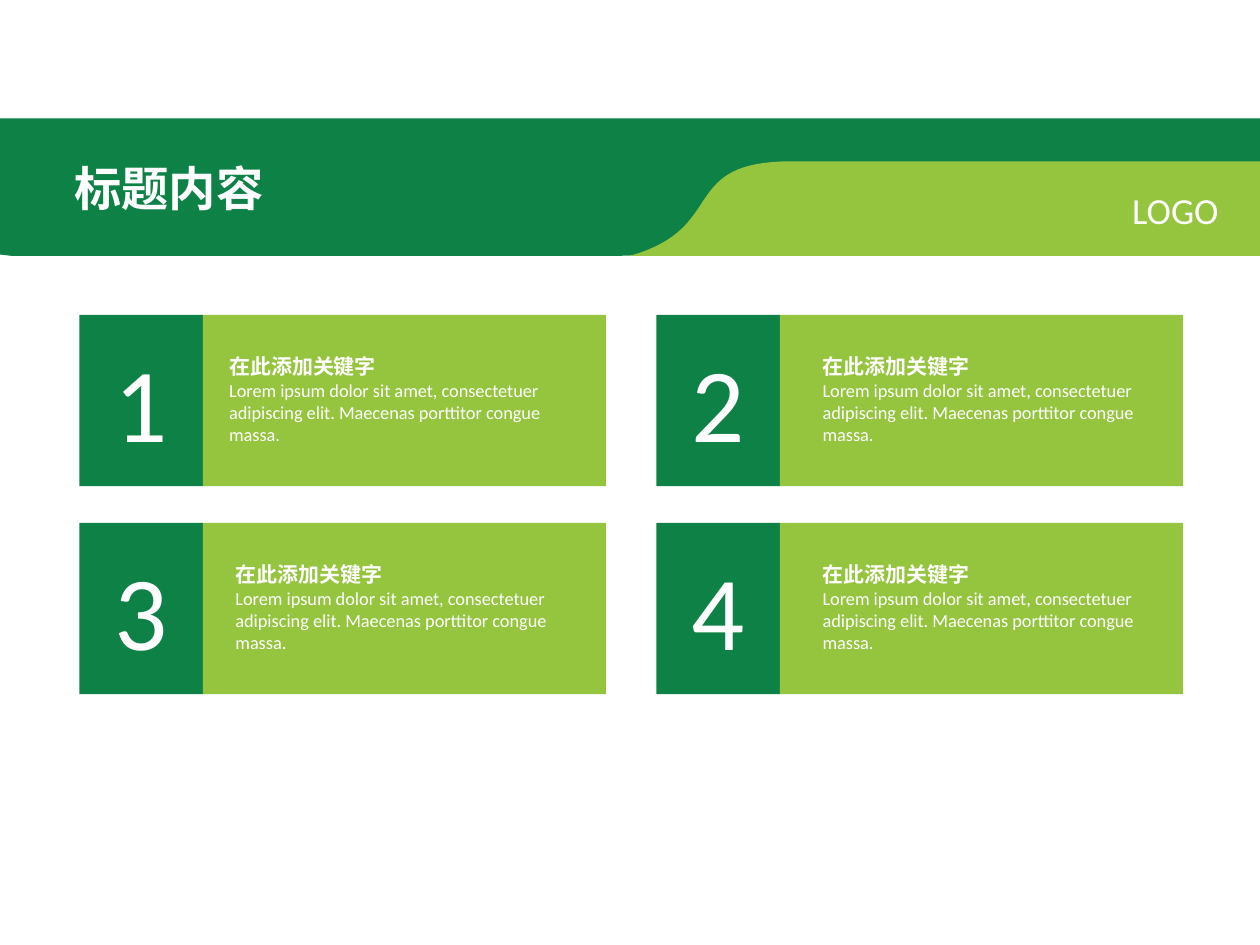
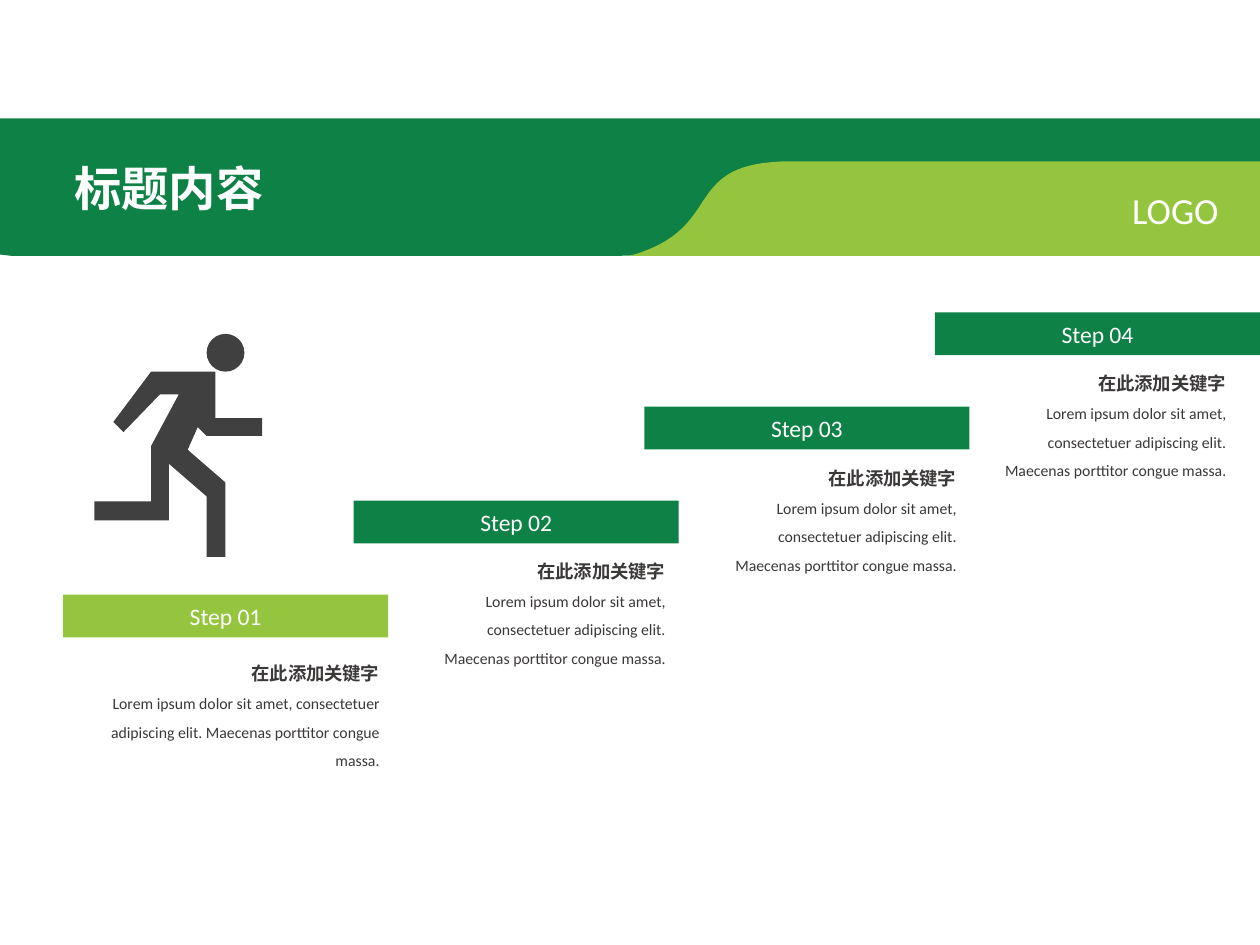
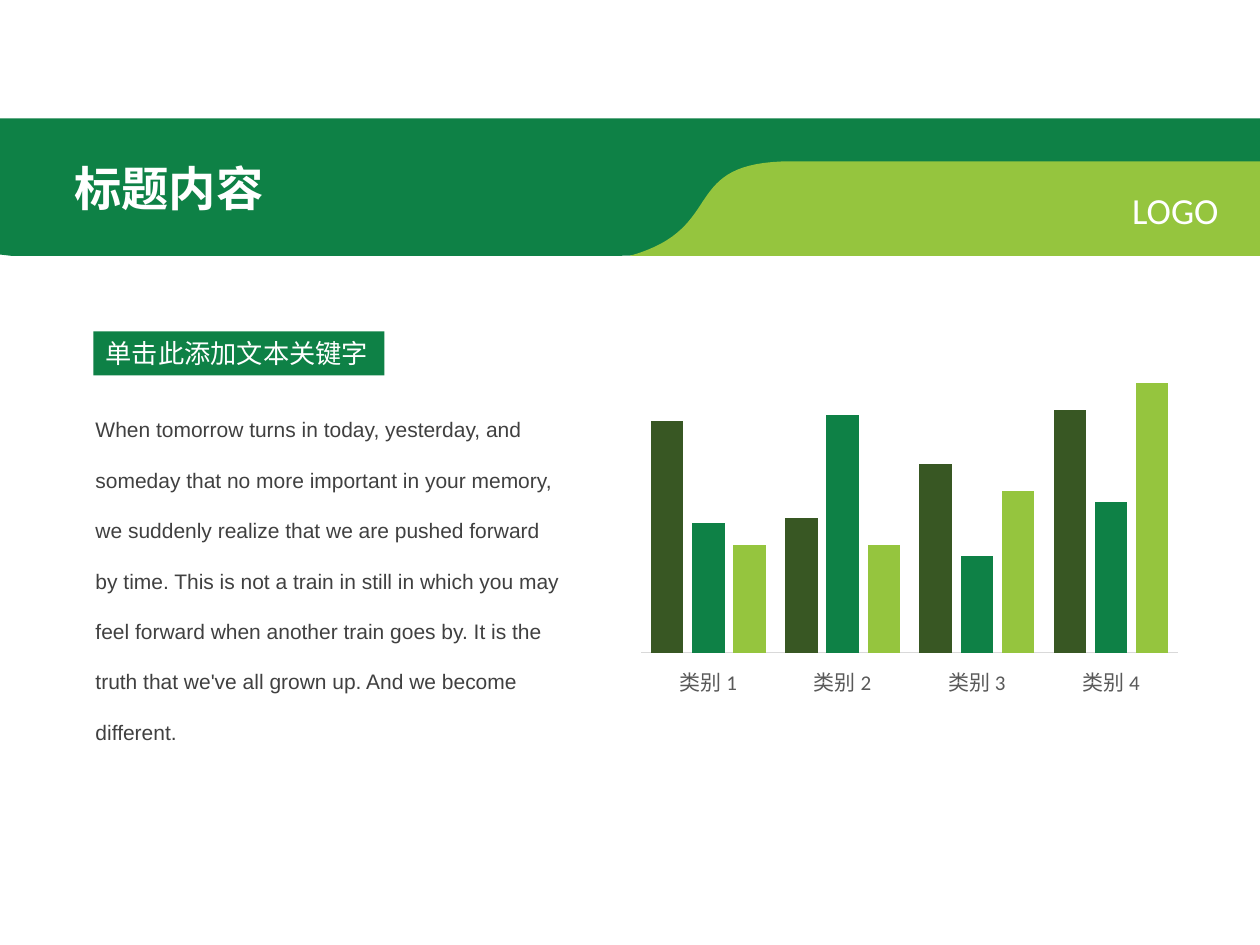
from pptx import Presentation
from pptx.chart.data import CategoryChartData
from pptx.dml.color import RGBColor
from pptx.enum.chart import XL_CHART_TYPE, XL_TICK_LABEL_POSITION, XL_TICK_MARK
from pptx.enum.shapes import MSO_SHAPE
from pptx.enum.text import MSO_ANCHOR, MSO_AUTO_SIZE, PP_ALIGN
from pptx.util import Inches, Pt

GREEN, LIME, OLIVE = "0E8146", "95C53E", "385723"
WHITE, CHARCOAL, INK = "FFFFFF", "404040", "3B3838"

TITLE = "标题内容"
BRAND = "LOGO"
KEYWORD = "在此添加关键字"
LOREM = ("Lorem ipsum dolor sit amet, consectetuer adipiscing elit. "
         "Maecenas porttitor congue massa.")

# Two numbers make a corner; six make a Bezier curve (two handles and its end).
BAND = [(0, 0.94), (10, 0.94), (10, 1.31), (6.2, 1.31), (6.07, 1.36),
        (5.46, 1.59, 5.77, 2.03, 4.91, 2.03), (0.09, 2.03), (0, 2.02)]
WAVE = [(6.29, 1.28), (10, 1.28), (10, 2.03), (5, 2.03),
        (5.79, 1.81, 5.37, 1.28, 6.29, 1.28)]
RUNNER = [(0.98, 3.43), (1.27, 3.13), (1.42, 3.13), (1.2, 3.54), (1.2, 3.98),
          (0.75, 3.98), (0.75, 4.13), (1.34, 4.13), (1.34, 3.68), (1.64, 3.94),
          (1.64, 4.42), (1.79, 4.42), (1.79, 3.83), (1.49, 3.57), (1.57, 3.39),
          (1.64, 3.46), (2.08, 3.46), (2.08, 3.32), (1.71, 3.32), (1.71, 2.95),
          (1.2, 2.95), (0.9, 3.35)]
RUNNER_HEAD = (1.64, 2.65, 0.3, 0.3)

CARDS = [("1", 1.72), ("2", 6.43), ("3", 1.77), ("4", 6.43)]
STEPS = [("Step 01", LIME, (0.5, 5.12, 2.61, 1.02)),
         ("Step 02", GREEN, (3.25, 4.31, 2.13, 1.02)),
         ("Step 03", GREEN, (5.56, 3.57, 2.13, 1.02)),
         ("Step 04", GREEN, (7.87, 2.82, 1.96, 1.25))]

HEADING = "单击此添加文本关键字"
STORY = ("When tomorrow turns in today, yesterday, and someday that no more "
         "important in your memory, we suddenly realize that we are pushed "
         "forward by time. This is not a train in still in which you may feel "
         "forward when another train goes by. It is the truth that we've all "
         "grown up. And we become different.")
CATEGORIES = ["类别 1", "类别 2", "类别 3", "类别 4"]
SERIES = [("Series 1", (86, 50, 70, 90), OLIVE),
          ("Series 2", (48, 88, 36, 56), GREEN),
          ("Series 3", (40, 40, 60, 100), LIME)]


def rgb(color):
    """Turn a hex string into a colour."""
    return RGBColor.from_string(color)


def inches(numbers):
    """Turn plain numbers into lengths."""
    return [Inches(number) for number in numbers]


def paint(shape, color):
    """Give a shape a flat fill without line or shadow."""
    shape.fill.solid()
    shape.fill.fore_color.rgb = rgb(color)
    shape.line.fill.background()
    shape.shadow.inherit = False


def style(font, size, color, bold=False, name="Calibri"):
    """Set the look of a font."""
    font.name, font.size, font.bold = name, Pt(size), bold
    font.color.rgb = rgb(color)


def write(shape, lines, color=WHITE, align=PP_ALIGN.LEFT, spacing=None,
          wrap=True, anchor=MSO_ANCHOR.TOP, name="Calibri"):
    """Fill a shape with (text, size, bold) paragraphs."""
    frame = shape.text_frame
    frame.word_wrap, frame.vertical_anchor = wrap, anchor
    frame.auto_size = MSO_AUTO_SIZE.NONE
    for index, (text, size, bold) in enumerate(lines):
        paragraph = frame.add_paragraph() if index else frame.paragraphs[0]
        paragraph.text, paragraph.alignment = text, align
        if spacing:
            paragraph.line_spacing = spacing
        style(paragraph.font, size, color, bold, name)


def add_text(slide, box, lines, **options):
    """Add a text box."""
    write(slide.shapes.add_textbox(*inches(box)), lines, **options)


def add_block(shapes, box, color, text="", size=12, kind=MSO_SHAPE.RECTANGLE):
    """Add a filled shape, with centred text if there is any."""
    block = shapes.add_shape(kind, *inches(box))
    paint(block, color)
    if text:
        write(block, [(text, size, False)], align=PP_ALIGN.CENTER,
              anchor=MSO_ANCHOR.MIDDLE)


def flatten(outline, pieces=32):
    """List the points of an outline, with its curves cut into short lines."""
    points = []
    for part in outline:
        if len(part) == 2:
            points.append(part)
            continue
        knots = [points[-1], part[:2], part[2:4], part[4:]]
        for piece in range(1, pieces + 1):
            t = piece / pieces
            weights = ((1 - t) ** 3, 3 * t * (1 - t) ** 2, 3 * t * t * (1 - t), t ** 3)
            points.append(tuple(sum(w * knot[axis] for w, knot in zip(weights, knots))
                                for axis in (0, 1)))
    return points


def add_outline(shapes, outline, color):
    """Draw a closed outline."""
    start, *rest = [inches(point) for point in flatten(outline)]
    builder = shapes.build_freeform(*start)
    builder.add_line_segments(rest, close=True)
    paint(builder.convert_to_shape(), color)


def add_page(deck):
    """Add a slide with the shared band, title and brand."""
    slide = deck.slides.add_slide(deck.slide_layouts[5])
    add_outline(slide.shapes, BAND, GREEN)
    add_outline(slide.shapes, WAVE, LIME)
    title = slide.shapes.title
    title.left, title.top, title.width, title.height = inches((0.49, 1.21, 1.72, 0.56))
    title.element.getparent().append(title.element)
    write(title, [(TITLE, 27, True)], wrap=False)
    add_text(slide, (8.72, 1.44, 1.05, 0.45), [(BRAND, 21, False)],
             align=PP_ALIGN.RIGHT, wrap=False)
    return slide


def build_cards(slide):
    """Lay out four numbered cards in two columns."""
    number_width, body_width, height = 0.98, 3.2, 1.36
    for index, (number, text_left) in enumerate(CARDS):
        row, column = divmod(index, 2)
        left, top = 0.63 + 4.58 * column, 2.5 + 1.65 * row
        add_block(slide.shapes, (left, top, number_width, height), GREEN, number, 60)
        add_block(slide.shapes, (left + number_width, top, body_width, height), LIME)
        add_text(slide, (text_left, top + 0.26, 2.72, 0.83),
                 [(KEYWORD, 12, True), (LOREM, 10.5, False)])


def build_steps(slide):
    """Draw the runner and the rising steps."""
    runner = slide.shapes.add_group_shape()
    add_outline(runner.shapes, RUNNER, CHARCOAL)
    add_block(runner.shapes, RUNNER_HEAD, CHARCOAL, kind=MSO_SHAPE.OVAL)
    for index, (step, color, caption) in enumerate(STEPS):
        bar = (0.5 + 6.92 / 3 * index, 4.72 - 2.24 / 3 * index, 2.58, 0.34)
        add_block(slide.shapes, bar, color, step, 13.5)
        add_text(slide, caption, [(KEYWORD, 10.5, True), (LOREM, 9, False)],
                 color=INK, align=PP_ALIGN.RIGHT, spacing=1.5)


def build_story(slide):
    """Place the heading and story beside the column chart."""
    heading = slide.shapes.add_shape(MSO_SHAPE.RECTANGLE, *inches((0.74, 2.63, 2.31, 0.35)))
    paint(heading, GREEN)
    write(heading, [(HEADING, 15, False)], wrap=False)
    add_text(slide, (0.66, 3.06, 3.94, 2.87), [(STORY, 12, False)],
             color=CHARCOAL, spacing=2.0, name="Arial")

    data = CategoryChartData()
    data.categories = CATEGORIES
    for name, values, _ in SERIES:
        data.add_series(name, values)
    chart = slide.shapes.add_chart(XL_CHART_TYPE.COLUMN_CLUSTERED,
                                   *inches((5, 2.55, 4.44, 3.04)), data).chart
    chart.has_legend = chart.has_title = False
    style(chart.font, 10, "000000")
    plot = chart.plots[0]
    plot.gap_width, plot.overlap, plot.vary_by_categories = 60, -27, False
    for series, (_, _, color) in zip(plot.series, SERIES):
        series.format.fill.solid()
        series.format.fill.fore_color.rgb = rgb(color)
    categories, scale = chart.category_axis, chart.value_axis
    categories.major_tick_mark = XL_TICK_MARK.NONE
    categories.tick_label_position = XL_TICK_LABEL_POSITION.LOW
    style(categories.tick_labels.font, 12, "595959")
    categories.format.line.color.rgb = rgb("D9D9D9")
    categories.format.line.width = Pt(0.75)
    scale.visible = scale.has_major_gridlines = False
    scale.minimum_scale, scale.maximum_scale = 0, 120


def main():
    """Build the three slides."""
    deck = Presentation()
    deck.slide_width, deck.slide_height = Inches(10), Inches(7.5)
    for build in (build_cards, build_steps, build_story):
        build(add_page(deck))
    deck.save("out.pptx")


if __name__ == "__main__":
    main()
